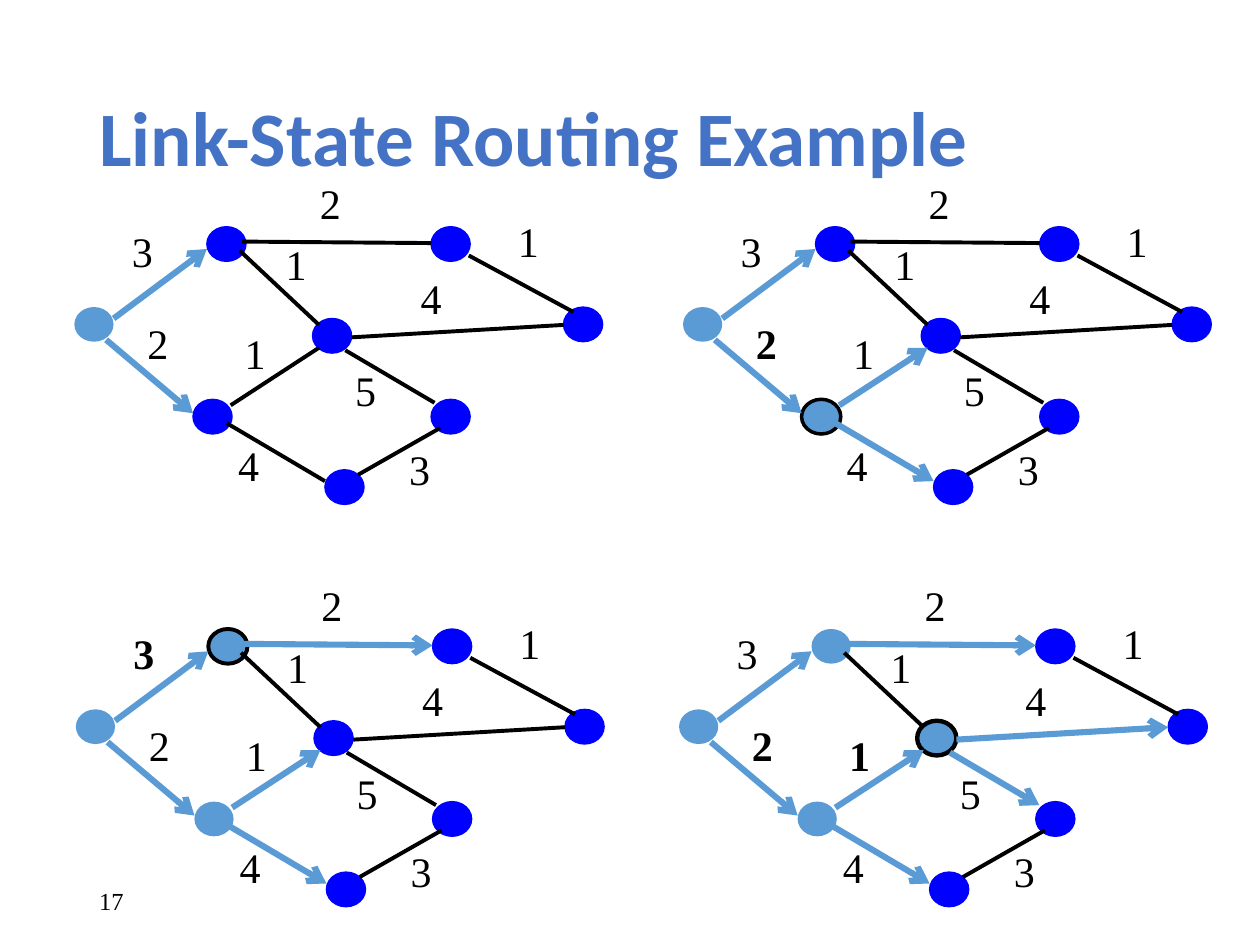
from typing import NamedTuple

from lxml.etree import SubElement
from pptx import Presentation
from pptx.dml.color import RGBColor
from pptx.enum.shapes import MSO_CONNECTOR, MSO_SHAPE
from pptx.enum.text import MSO_ANCHOR, MSO_AUTO_SIZE, PP_ALIGN
from pptx.oxml.ns import qn
from pptx.util import Cm, Pt

BLACK = RGBColor(0x00, 0x00, 0x00)
BLUE = RGBColor(0x00, 0x00, 0xFF)
LIGHT = RGBColor(0x5B, 0x9B, 0xD5)
TITLE = RGBColor(0x44, 0x72, 0xC4)
SERIF = "Times New Roman"


class Edge(NamedTuple):
    start: tuple[float, float]
    end: tuple[float, float]
    cost: str
    label: tuple[float, float]


class Panel(NamedTuple):
    """One step of the search; a ring marks the node just reached."""
    left: float
    top: float
    known: str
    arrows: set[str]
    bold: set[str]
    ring: str = ""
    width: float = 0


# Positions in cm from the corner of a panel
NODES = {
    "A": (0, 2.74), "B": (2.39, 4.6), "C": (2.67, 1.12), "D": (4.8, 2.97),
    "E": (7.19, 4.6), "F": (7.19, 1.12), "G": (5.05, 6.02), "H": (9.86, 2.74),
}
EDGES = {
    "AC": Edge((0.79, 2.97), (2.67, 1.57), "3", (0.91, 0.97)),
    "AB": Edge((0.64, 3.4), (2.39, 4.88), "2", (1.22, 2.82)),
    "CD": Edge((3.33, 1.6), (4.93, 3.1), "1", (4.01, 1.24)),
    "BG": Edge((3.07, 5.08), (5.05, 6.25), "4", (3.05, 5.28)),
    "BD": Edge((3.15, 4.72), (4.93, 3.56), "1", (3.18, 3.02)),
    "DE": Edge((5.46, 3.61), (7.26, 4.67), "5", (5.41, 3.78)),
    "GE": Edge((5.72, 6.12), (7.37, 5.18), "3", (6.5, 5.36)),
    "DH": Edge((5.59, 3.35), (9.86, 3.1), "4", (6.73, 1.91)),
    "CF": Edge((3.38, 1.42), (7.19, 1.45), "2", (4.7, 0)),
    "FH": Edge((7.95, 1.7), (10.06, 2.84), "1", (8.69, 0.76)),
}

FIRST = {"AC", "AB"}
SECOND = FIRST | {"BG", "BD"}
THIRD = SECOND | {"CF"}
FOURTH = THIRD | {"DE", "DH"}
PANELS = [
    Panel(1.5, 3.45, "A", FIRST, set()),
    Panel(13.77, 3.45, "AB", SECOND, {"AB"}, "B", 2),
    Panel(1.53, 11.56, "ABC", THIRD, {"AC"}, "C", 2.25),
    Panel(13.69, 11.56, "ABCD", FOURTH, {"AB", "BD"}, "D", 2.5),
]


def write(frame, text: str, *, size: float = 24, font: str = SERIF,
          color: RGBColor = BLACK, bold: bool = False,
          anchor: MSO_ANCHOR = MSO_ANCHOR.TOP, wrap: bool = True) -> None:
    frame.word_wrap = wrap
    frame.vertical_anchor = anchor
    para = frame.paragraphs[0]
    para.alignment = PP_ALIGN.LEFT
    run = para.add_run()
    run.text = text
    run.font.size = Pt(size)
    run.font.name = font
    run.font.bold = bold
    run.font.color.rgb = color


def draw_node(shapes, panel: Panel, name: str) -> None:
    x, y = NODES[name]
    node = shapes.add_shape(MSO_SHAPE.OVAL, Cm(panel.left + x),
                            Cm(panel.top + y), Cm(0.79), Cm(0.7))
    node.shadow.inherit = False
    known = name in panel.known
    node.fill.solid()
    node.fill.fore_color.rgb = LIGHT if known else BLUE
    if name == panel.ring:
        node.line.color.rgb = BLACK
        node.line.width = Pt(panel.width)
    elif known:
        node.line.fill.background()
    else:
        node.line.color.rgb = BLUE
        node.line.width = Pt(0.75)


def draw_edge(shapes, panel: Panel, name: str) -> None:
    edge = EDGES[name]
    ends = [Cm(base + step) for point in (edge.start, edge.end)
            for base, step in zip((panel.left, panel.top), point)]
    link = shapes.add_connector(MSO_CONNECTOR.STRAIGHT, *ends)
    arrow = name in panel.arrows
    link.line.color.rgb = LIGHT if arrow else BLACK
    link.line.width = Pt(3.5 if arrow else 2.25)
    if arrow:
        SubElement(link.line._get_or_add_ln(), qn("a:tailEnd"), type="arrow")
    SubElement(link._element.spPr, qn("a:effectLst"))


def draw_cost(shapes, panel: Panel, name: str) -> None:
    edge = EDGES[name]
    x, y = edge.label
    box = shapes.add_textbox(Cm(panel.left + x), Cm(panel.top + y),
                             Cm(0.94), Cm(1.27))
    write(box.text_frame, edge.cost, bold=name in panel.bold, wrap=False)
    box.text_frame.auto_size = MSO_AUTO_SIZE.SHAPE_TO_FIT_TEXT


def draw_panel(slide, panel: Panel) -> None:
    shapes = slide.shapes.add_group_shape().shapes
    for name in NODES:
        draw_node(shapes, panel, name)
    for name in EDGES:
        draw_edge(shapes, panel, name)
    for name in EDGES:
        draw_cost(shapes, panel, name)


def main() -> None:
    deck = Presentation()
    deck.slide_width, deck.slide_height = Cm(25.4), Cm(19.05)
    slide = deck.slides.add_slide(deck.slide_layouts[5])

    title = slide.shapes.title
    title.left, title.top = Cm(1.75), Cm(1.01)
    title.width, title.height = Cm(21.9), Cm(3.68)
    write(title.text_frame, "Link-State Routing Example", size=44,
          font="Calibri", color=TITLE, bold=True, anchor=MSO_ANCHOR.MIDDLE)
    title.text_frame.paragraphs[0].line_spacing = 0.9

    number = slide.shapes.add_textbox(Cm(1.75), Cm(17.65), Cm(5.72), Cm(1.02))
    write(number.text_frame, "17", size=14, anchor=MSO_ANCHOR.MIDDLE)

    for panel in PANELS:
        draw_panel(slide, panel)
    deck.save("out.pptx")


if __name__ == "__main__":
    main()
